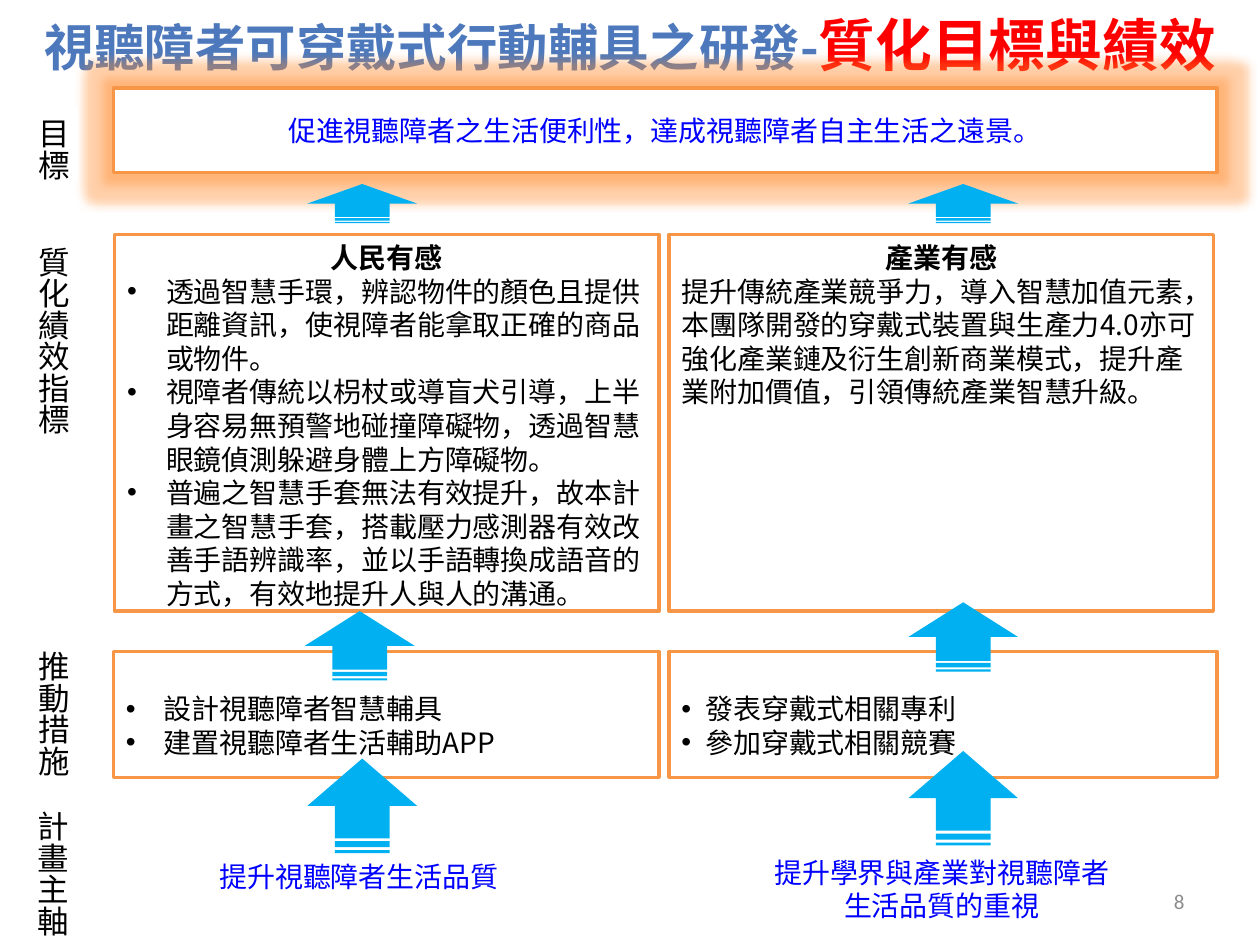
from dataclasses import dataclass
from typing import Any

from lxml.etree import SubElement
from pptx import Presentation
from pptx.dml.color import RGBColor
from pptx.enum.shapes import MSO_SHAPE as Shape
from pptx.enum.text import MSO_ANCHOR as Anchor, MSO_AUTO_SIZE as AutoSize, PP_ALIGN as Align
from pptx.oxml.ns import qn
from pptx.util import Emu, Pt

PX = 9144
FONT = "Noto Sans CJK SC"
WHITE = RGBColor(0xFF, 0xFF, 0xFF)
BLACK = RGBColor(0x00, 0x00, 0x00)
BLUE = RGBColor(0x00, 0x00, 0xFF)
RED = RGBColor(0xFF, 0x00, 0x00)
GRAY = RGBColor(0x8C, 0x8C, 0x8C)
STEEL = RGBColor(0x4D, 0x79, 0xBC)
ORANGE = RGBColor(0xF7, 0x96, 0x46)
SKY = RGBColor(0x00, 0xB0, 0xF0)


def px(length):
    return Emu(length * PX)


@dataclass
class Board:
    """Draws the elements of the goals slide in one style."""

    slide: Any
    font: str = FONT
    size: float = 16

    def add_span(self, para, text, color=BLACK, **format_values):
        span = para.add_run()
        span.text = text
        values = {"name": self.font, "size": Pt(self.size), "bold": False, **format_values}
        for name, value in values.items():
            setattr(span.font, name, value)
        span.font.color.rgb = color
        SubElement(span.font._element, qn("a:ea"), typeface=values["name"])

    def paragraph(self, frame, first, align=Align.LEFT, hang=0):
        para = frame.paragraphs[0] if first else frame.add_paragraph()
        para.alignment = align
        if hang:
            properties = para._p.get_or_add_pPr()
            properties.set("marL", str(px(hang)))
            properties.set("indent", str(px(-hang)))
            SubElement(properties, qn("a:buFont"), typeface="Arial")
            SubElement(properties, qn("a:buChar"), char="•")
        return para

    def shape(self, kind, area, fill, line=None):
        item = self.slide.shapes.add_shape(kind, *map(px, area))
        item.shadow.inherit = False
        item.fill.solid()
        item.fill.fore_color.rgb = fill
        if line is None:
            item.line.fill.background()
        else:
            item.line.color.rgb = line
            item.line.width = Pt(2)
        return item

    def text(self, area, spans, align=Align.CENTER, anchor=Anchor.TOP, spacing=None):
        box = self.slide.shapes.add_textbox(*map(px, area))
        frame = box.text_frame
        frame.word_wrap = True
        frame.vertical_anchor = anchor
        para = self.paragraph(frame, True, align)
        para.line_spacing = spacing
        for text, color, values in spans:
            self.add_span(para, text, color, **values)

    def panel(self, area, heading=None, lines=(), hang=0, top=5):
        box = self.shape(Shape.RECTANGLE, area, WHITE, ORANGE)
        frame = box.text_frame
        frame.word_wrap = True
        frame.vertical_anchor = Anchor.TOP
        frame.margin_top = px(top)
        if heading:
            self.add_span(self.paragraph(frame, True, Align.CENTER), heading, bold=True)
        for number, line in enumerate(lines):
            first = number == 0 and not heading
            self.add_span(self.paragraph(frame, first, hang=hang), line)

    def goal(self, area, text):
        box = self.shape(Shape.RECTANGLE, area, WHITE, ORANGE)
        glow = SubElement(box._element.spPr.find(qn("a:effectLst")), qn("a:glow"), rad=str(px(15)))
        color = SubElement(glow, qn("a:srgbClr"), val="FF8A2B")
        SubElement(color, qn("a:alpha"), val="40000")
        box.text_frame.word_wrap = True
        box.text_frame.vertical_anchor = Anchor.MIDDLE
        self.add_span(self.paragraph(box.text_frame, True, Align.CENTER), text, BLUE)

    def label(self, area, text, wrap=False):
        box = self.shape(Shape.RECTANGLE, area, WHITE)
        frame = box.text_frame
        frame.word_wrap = wrap
        frame.auto_size = AutoSize.SHAPE_TO_FIT_TEXT
        frame.vertical_anchor = Anchor.TOP
        frame._txBody.bodyPr.set("vert", "eaVert")
        self.add_span(self.paragraph(frame, True, Align.CENTER), text, size=Pt(18))

    def arrow(self, center, top, length, breadth=87):
        left = center - length // 2
        middle = top + length // 2
        area = (left, middle - breadth // 2, length, breadth)
        self.shape(Shape.STRIPED_RIGHT_ARROW, area, SKY).rotation = 270


def main():
    deck = Presentation()
    deck.slide_width, deck.slide_height = px(1000), px(750)
    board = Board(deck.slides.add_slide(deck.slide_layouts[6]))

    board.text((0, 4, 1000, 72), [
        ("視聽障者可穿戴式行動輔具之研發-", STEEL, {"size": Pt(28.8), "bold": True}),
        ("質化目標與績效", RED, {"size": Pt(32.4), "bold": True}),
    ], anchor=Anchor.MIDDLE, spacing=0.8)
    board.goal((90, 70, 876, 67), "促進視聽障者之生活便利性，達成視聽障者自主生活之遠景。")

    board.panel((91, 186, 432, 299), "人民有感", [
        "透過智慧手環，辨認物件的顏色且提供距離資訊，使視障者能拿取正確的商品或物件。",
        "視障者傳統以枴杖或導盲犬引導，上半身容易無預警地碰撞障礙物，透過智慧眼鏡偵測躲避身體上方障礙物。",
        "普遍之智慧手套無法有效提升，故本計畫之智慧手套，搭載壓力感測器有效改善手語辨識率，"
        "並以手語轉換成語音的方式，有效地提升人與人的溝通。",
    ], hang=31)
    board.panel((531, 186, 432, 299), "產業有感", [
        "提升傳統產業競爭力，導入智慧加值元素，本團隊開發的穿戴式裝置與生產力4.0亦"
        "可強化產業鏈及衍生創新商業模式，提升產業附加價值，引領傳統產業智慧升級。",
    ])
    board.panel((90, 517, 433, 100), lines=["設計視聽障者智慧輔具", "建置視聽障者生活輔助APP"],
                hang=30, top=32)
    board.panel((531, 517, 435, 100), lines=["發表穿戴式相關專利", "參加穿戴式相關競賽"],
                hang=19, top=32)

    board.label((12, 84, 50, 60), "目標")
    board.label((12, 186, 50, 176), "質化績效指標", wrap=True)
    board.label((12, 507, 50, 110), "推動措施")
    board.label((11, 634, 50, 111), "計畫主軸")

    for center, top, length in [
        (287, 146, 31), (764, 146, 31),
        (285, 485, 55), (764, 478, 55),
        (287, 602, 75), (764, 596, 75),
    ]:
        board.arrow(center, top, length)

    board.text((140, 677, 290, 37), [("提升視聽障者生活品質", BLUE, {})])
    board.text((594, 674, 307, 64), [("提升學界與產業對視聽障者生活品質的重視", BLUE, {})])
    board.text((717, 695, 233, 40), [("8", GRAY, {"name": "Calibri", "size": Pt(12)})],
               align=Align.RIGHT, anchor=Anchor.MIDDLE)

    deck.save("out.pptx")


if __name__ == "__main__":
    main()
